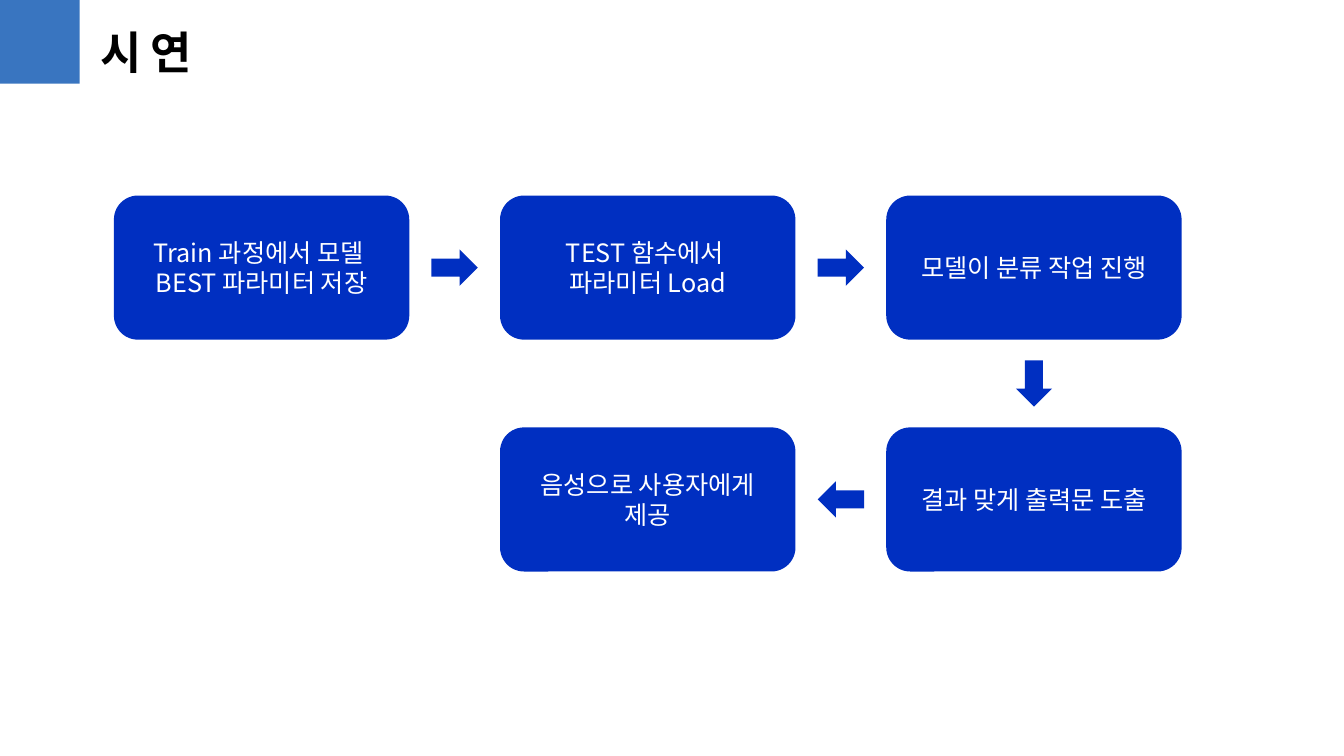
from itertools import pairwise

from lxml.etree import SubElement
from pptx import Presentation
from pptx.dml.color import RGBColor
from pptx.enum.shapes import MSO_SHAPE
from pptx.enum.text import MSO_ANCHOR, MSO_AUTO_SIZE, PP_ALIGN
from pptx.oxml.ns import qn
from pptx.util import Inches, Pt

SANS, SERIF = "Noto Sans CJK KR", "TeX Gyre Schola"
BLUE, ACCENT, WHITE, BLACK = "002FC1", "3975C0", "FFFFFF", "000000"

# Flow grid: step size and distance between neighbouring steps
STEP_W, STEP_H = 2.93, 1.43
COLUMN, ROW = 3.83, 2.3
ARROW_W, ARROW_H = 0.36, 0.46

# Text, column, row; "\v" breaks a line, "\n" starts a paragraph
STEPS = [
    ("Train 과정에서 모델 \vBEST 파라미터 저장", 0, 0),
    ("TEST 함수에서 \n파라미터 Load", 1, 0),
    ("모델이 분류 작업 진행", 2, 0),
    ("결과 맞게 출력문 도출", 2, 1),
    ("음성으로 사용자에게 제공", 1, 1),
]
# Turn of a down arrow for each move (columns, rows)
TURNS = {(1, 0): 270, (0, 1): 0, (-1, 0): 90}


def color(hex_code):
    return RGBColor.from_string(hex_code)


def write(frame, text, size=18, font=SANS, ink=WHITE, bold=False,
          align=PP_ALIGN.CENTER, spacing=0):
    frame.text = text
    for paragraph in frame.paragraphs:
        paragraph.alignment = align
        for run in paragraph.runs:
            run.font.size, run.font.bold = Pt(size), bold
            run.font.color.rgb = color(ink)
            run.font.name = font
            properties = run.font._element
            SubElement(properties, qn("a:ea")).set("typeface", SANS)
            if spacing:
                properties.set("spc", str(spacing * 100))


def add_block(slide, preset, left, top, width, height, fill):
    block = slide.shapes.add_shape(
        preset, Inches(left), Inches(top), Inches(width), Inches(height))
    block.shadow.inherit = False
    block.fill.solid()
    block.fill.fore_color.rgb = color(fill)
    block.line.fill.background()
    return block


def add_header(slide, left, top, width, height):
    # Corner block, then the title beside it
    add_block(slide, MSO_SHAPE.RECTANGLE, left, top, width, height, ACCENT)
    title = slide.shapes.add_textbox(
        Inches(left + width + 0.11), Inches(top + 0.2), Inches(1.2), Inches(0.64))
    title.text_frame.word_wrap = False
    title.text_frame.auto_size = MSO_AUTO_SIZE.SHAPE_TO_FIT_TEXT
    write(title.text_frame, "시연", size=32, font=SERIF, ink=BLACK, bold=True,
          align=PP_ALIGN.LEFT, spacing=6)


def add_flow(slide, left, top):
    # Steps
    for text, column, row in STEPS:
        step = add_block(slide, MSO_SHAPE.ROUNDED_RECTANGLE, left + column * COLUMN,
                         top + row * ROW, STEP_W, STEP_H, BLUE)
        step.text_frame.word_wrap = True
        step.text_frame.vertical_anchor = MSO_ANCHOR.MIDDLE
        write(step.text_frame, text)

    # Arrows, each midway between two successive steps
    for (_, column, row), (_, next_column, next_row) in pairwise(STEPS):
        center_x = left + (column + next_column) / 2 * COLUMN + STEP_W / 2
        center_y = top + (row + next_row) / 2 * ROW + STEP_H / 2
        arrow = add_block(slide, MSO_SHAPE.DOWN_ARROW, center_x - ARROW_W / 2,
                          center_y - ARROW_H / 2, ARROW_W, ARROW_H, BLUE)
        arrow.rotation = TURNS[next_column - column, next_row - row]


def main():
    deck = Presentation()
    deck.slide_width, deck.slide_height = Inches(13.33), Inches(7.5)
    slide = deck.slides.add_slide(deck.slide_layouts[6])
    add_header(slide, 0, 0, 0.79, 0.83)
    add_flow(slide, 1.13, 1.94)
    deck.save("out.pptx")


if __name__ == "__main__":
    main()
